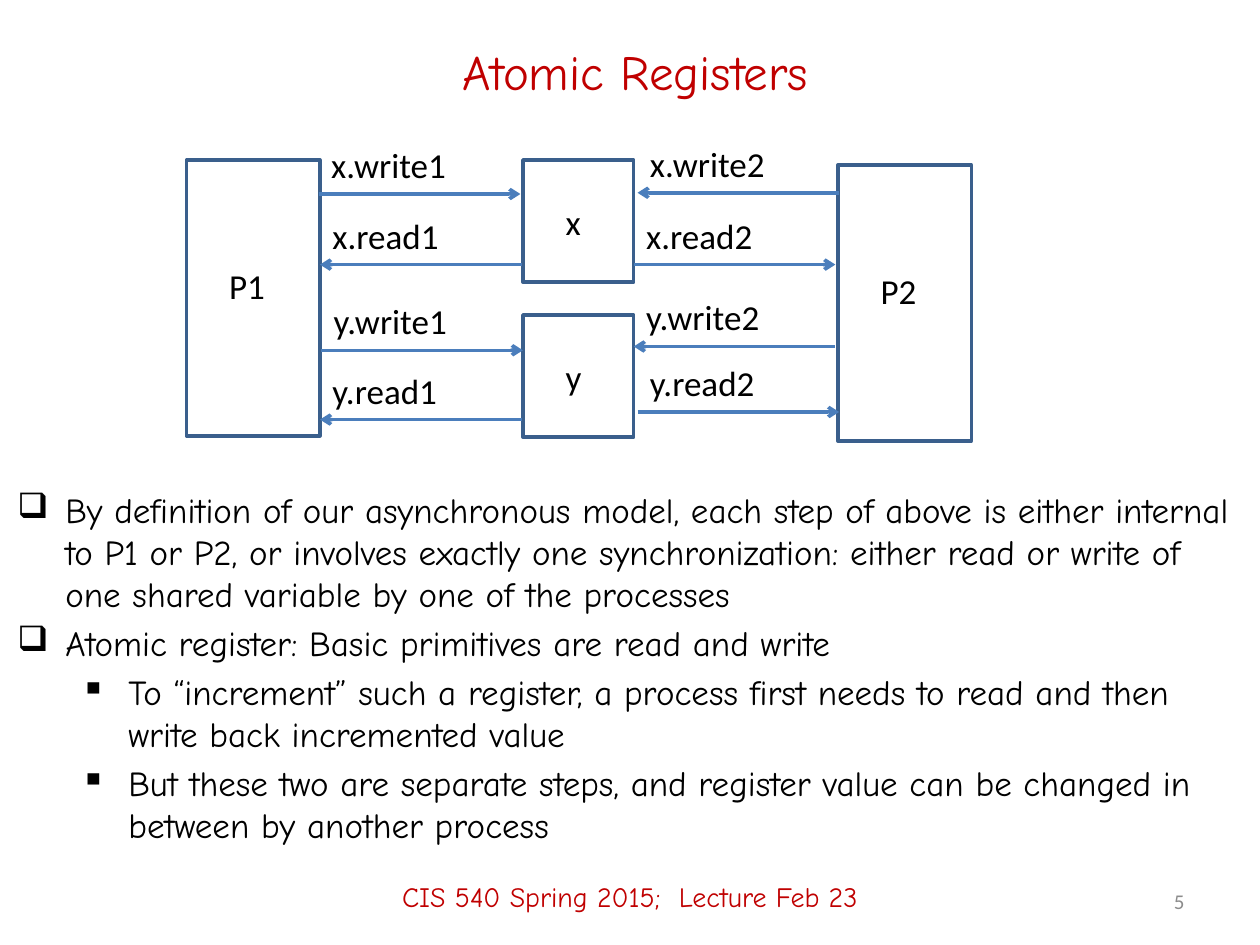
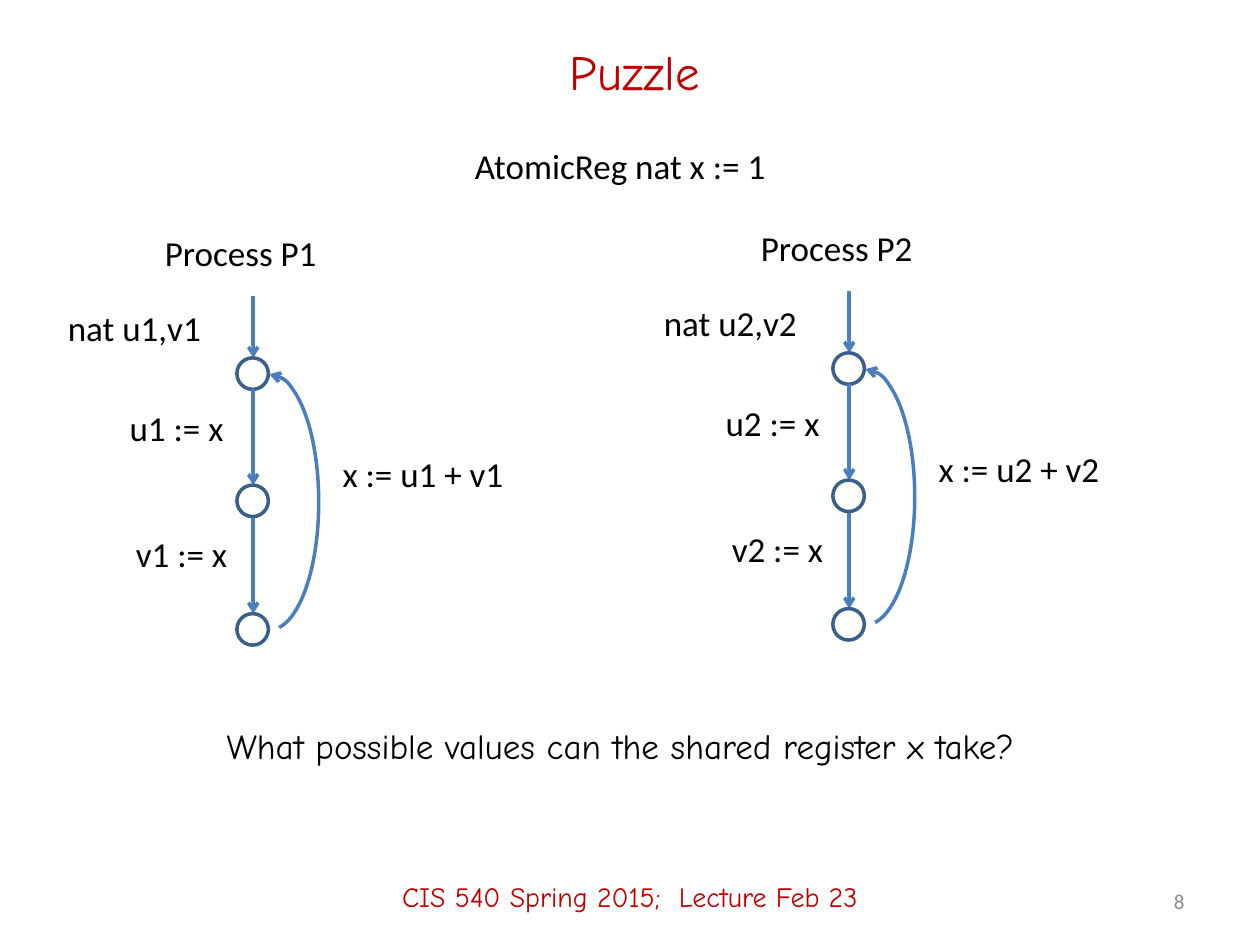
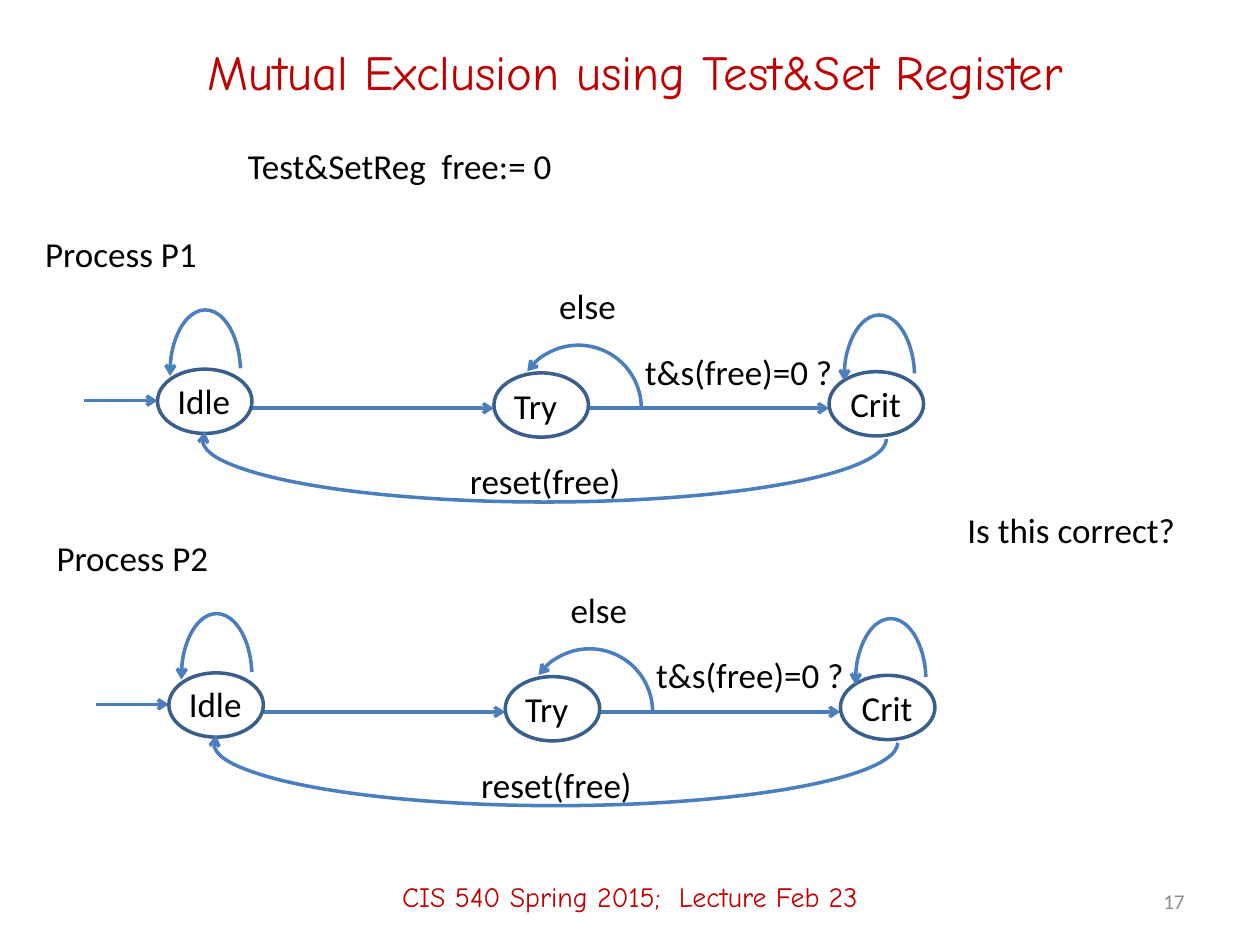
from lxml.etree import SubElement
from pptx import Presentation
from pptx.dml.color import RGBColor
from pptx.enum.shapes import MSO_CONNECTOR, MSO_SHAPE
from pptx.enum.text import MSO_ANCHOR, MSO_AUTO_SIZE, PP_ALIGN
from pptx.oxml.ns import qn
from pptx.util import Inches, Pt

RED = "C00000"
BLACK = "000000"
GREY = "8C8C8C"
ARROW_BLUE = "4B7EBC"
OUTLINE_BLUE = "3A5F8C"

TITLE = dict(name="Comic Neue", size=Pt(28), color=RED, align=PP_ALIGN.CENTER, anchor=MSO_ANCHOR.MIDDLE, wrap=True)
FOOTER = {**TITLE, "size": Pt(16)}
NUMBER = dict(name="Calibri", size=Pt(12), color=GREY, align=PP_ALIGN.RIGHT, anchor=MSO_ANCHOR.MIDDLE, wrap=True)
LABEL = dict(name="Calibri", size=Pt(20), color=BLACK, align=PP_ALIGN.LEFT, anchor=MSO_ANCHOR.TOP, wrap=False)
BODY = {**LABEL, "name": "Comic Neue", "wrap": True}


def write(box, text, style):
    frame = box.text_frame
    for key, value in dict(
        text=text, word_wrap=style["wrap"], vertical_anchor=style["anchor"], auto_size=MSO_AUTO_SIZE.NONE
    ).items():
        setattr(frame, key, value)
    for para in frame.paragraphs:
        para.alignment = style["align"]
        for span in para.runs:
            for key in ("name", "size"):
                setattr(span.font, key, style[key])
            span.font.color.rgb = RGBColor.from_string(style["color"])
    return frame


def draw_line(shape, color, arrow=None):
    shape.line.color.rgb = RGBColor.from_string(color)
    shape.line.width = Pt(2)
    if arrow:
        SubElement(shape.line._get_or_add_ln(), qn(f"a:{arrow}End"), type="arrow")
    if hasattr(shape, "fill"):
        shape.shadow.inherit = False
        shape.fill.background()
    else:
        SubElement(shape._element.spPr, qn("a:effectLst"))


deck = Presentation()
deck.slide_width, deck.slide_height = Inches(10), Inches(7.5)

pages = []
for title, number in (
    ("Atomic Registers", "5"),
    ("Puzzle", "8"),
    ("Mutual Exclusion using Test&Set Register", "17"),
):
    page = deck.slides.add_slide(deck.slide_layouts[5])
    heading = page.shapes.title
    for key, value in dict(left=0.75, top=0.17, width=8.58, height=0.78).items():
        setattr(heading, key, Inches(value))
    write(heading, title, TITLE)
    for text, place, style in (
        ("CIS 540 Spring 2015;  Lecture Feb 23", (0, 6.72, 10, 0.78), FOOTER),
        (number, (7.17, 6.95, 2.33, 0.4), NUMBER),
    ):
        write(page.shapes.add_textbox(*map(Inches, place)), text, style)
    pages.append(page)

registers, puzzle, exclusion = pages

bullets = (
    ("By definition of our asynchronous model, each step of above is either internal to P1 or P2, or involves "
     "exactly one synchronization: either read or write of one shared variable by one of the processes", 0),
    ("Atomic register: Basic primitives are read and write", 0),
    ("To “increment” such a register, a process first needs to read and then write back incremented value", 1),
    ("But these two are separate steps, and register value can be changed in between by another process", 1),
)
box = registers.shapes.add_textbox(*map(Inches, (0.04, 3.83, 9.83, 2.88)))
frame = write(box, "\n".join(text for text, level in bullets), BODY)
for index, (para, (text, level)) in enumerate(zip(frame.paragraphs, bullets)):
    para.level = level
    properties = para._p.get_or_add_pPr()
    properties.set("marL", str(Inches(0.38 + 0.5 * level)))
    properties.set("indent", str(Inches(-0.38)))
    SubElement(properties, qn("a:buChar"), char="❑▪"[level])
    para.space_before = Pt(4 if index else 0)

for name, place, label_place in (
    ("P1", (1.48, 1.27, 1.06, 2.19), (1.72, 2.05, 0.49, 0.44)),
    ("x", (4.15, 1.27, 0.88, 0.97), (4.39, 1.54, 0.39, 0.44)),
    ("y", (4.15, 2.5, 0.88, 0.97), (4.39, 2.77, 0.39, 0.44)),
    ("P2", (6.65, 1.31, 1.06, 2.19), (6.89, 2.09, 0.49, 0.44)),
):
    block = registers.shapes.add_shape(MSO_SHAPE.RECTANGLE, *map(Inches, place))
    draw_line(block, OUTLINE_BLUE)
    write(registers.shapes.add_textbox(*map(Inches, label_place)), name, LABEL)

for name, left, level, width, arrow in (
    ("x.write1", 2.53, 1.54, 1.12, "tail"),
    ("x.read1", 2.54, 2.1, 1.05, "head"),
    ("y.write1", 2.55, 2.78, 1.11, "tail"),
    ("y.read1", 2.54, 3.33, 1.04, "head"),
    ("x.write2", 5.06, 1.53, 1.12, "head"),
    ("x.read2", 5.03, 2.1, 1.05, "tail"),
    ("y.write2", 5.03, 2.75, 1.11, "head"),
    ("y.read2", 5.06, 3.27, 1.04, "tail"),
):
    channel = registers.shapes.add_connector(
        MSO_CONNECTOR.STRAIGHT, *map(Inches, (left, level, left + 1.6, level)))
    draw_line(channel, ARROW_BLUE, arrow)
    write(registers.shapes.add_textbox(*map(Inches, (left, level - 0.45, width, 0.44))), name, LABEL)

for text, place, style in (
    ("AtomicReg nat x := 1", (3.67, 1.1, 2.53, 0.44), LABEL),
    ("What possible values can the shared register x take?", (1.7, 5.7, 7.64, 1.02), BODY),
):
    write(puzzle.shapes.add_textbox(*map(Inches, place)), text, style)

for process, across, down in ((1, 0, 0), (2, 4.73, -0.04)):
    for top, bottom in ((2.35, 2.84), (3.09, 3.85), (4.11, 4.87)):
        step = puzzle.shapes.add_connector(
            MSO_CONNECTOR.STRAIGHT, *map(Inches, (2.01 + across, top + down, 2.01 + across, bottom + down)))
        draw_line(step, ARROW_BLUE, "tail")
        state = puzzle.shapes.add_shape(
            MSO_SHAPE.OVAL, *map(Inches, (1.88 + across, bottom + down, 0.25, 0.25)))
        draw_line(state, OUTLINE_BLUE)
    for text, left, top, width in (
        (f"Process P{process}", 1.21, 1.79, 1.42),
        (f"nat u{process},v{process}", 0.44, 2.38, 1.27),
        (f"u{process} := x", 0.93, 3.18, 0.95),
        (f"v{process} := x", 0.98, 4.18, 0.93),
        (f"x := u{process} + v{process}", 2.62, 3.54, 1.49),
    ):
        box = puzzle.shapes.add_textbox(*map(Inches, (left + across, top + down, width, 0.44)))
        write(box, text, LABEL)
    loop = puzzle.shapes.add_shape(MSO_SHAPE.ARC, *map(Inches, (1.75 + across, 2.97 + down, 0.78, 2.03)))
    loop.adjustments[0], loop.adjustments[1] = 162, 51.41
    draw_line(loop, ARROW_BLUE, "head")

for text, place in (
    ("Test&SetReg  free:= 0", (1.87, 1.1, 2.64, 0.44)),
    ("Is this correct?", (7.58, 3.99, 1.87, 0.44)),
):
    write(exclusion.shapes.add_textbox(*map(Inches, place)), text, LABEL)

for process, across, down in ((1, 0, 0), (2, 0.09, 2.41)):
    for start, end, level in ((0.67, 1.25, 3.18), (2, 3.92, 3.24), (4.67, 6.58, 3.24)):
        move = exclusion.shapes.add_connector(
            MSO_CONNECTOR.STRAIGHT, *map(Inches, (start + across, level + down, end + across, level + down)))
        draw_line(move, ARROW_BLUE, "tail")
    for left, top in ((1.25, 2.93), (3.92, 2.96), (6.58, 2.95)):
        state = exclusion.shapes.add_shape(
            MSO_SHAPE.OVAL, *map(Inches, (left + across, top + down, 0.75, 0.51)))
        draw_line(state, OUTLINE_BLUE)
    for left, top, width, height, start, end, turn, arrow in (
        (3.82, 0.77, 1, 5.43, 162, 54.74, 90, "tail"),
        (4.09, 2.74, 1, 1, 129.5, 0, 0, "head"),
        (6.7, 2.5, 0.56, 1, 105.09, 211.53, 0, "head"),
        (1.35, 2.46, 0.56, 1, 105.09, 211.53, 0, "head"),
    ):
        loop = exclusion.shapes.add_shape(
            MSO_SHAPE.ARC, *map(Inches, (left + across, top + down, width, height)))
        loop.adjustments[0], loop.adjustments[1] = start, end
        loop.rotation = turn
        draw_line(loop, ARROW_BLUE, arrow)
    for text, left, top, width in (
        (f"Process P{process}", 0.26, 1.8, 1.42),
        ("Idle", 1.31, 2.96, 0.62),
        ("Try", 3.98, 3, 0.55),
        ("Crit", 6.65, 2.99, 0.61),
        ("t&s(free)=0 ?", 5.02, 2.73, 1.71),
        ("else", 4.34, 2.21, 0.66),
        ("reset(free)", 3.63, 3.6, 1.41),
    ):
        box = exclusion.shapes.add_textbox(*map(Inches, (left + across, top + down, width, 0.44)))
        write(box, text, LABEL)

deck.save("out.pptx")
